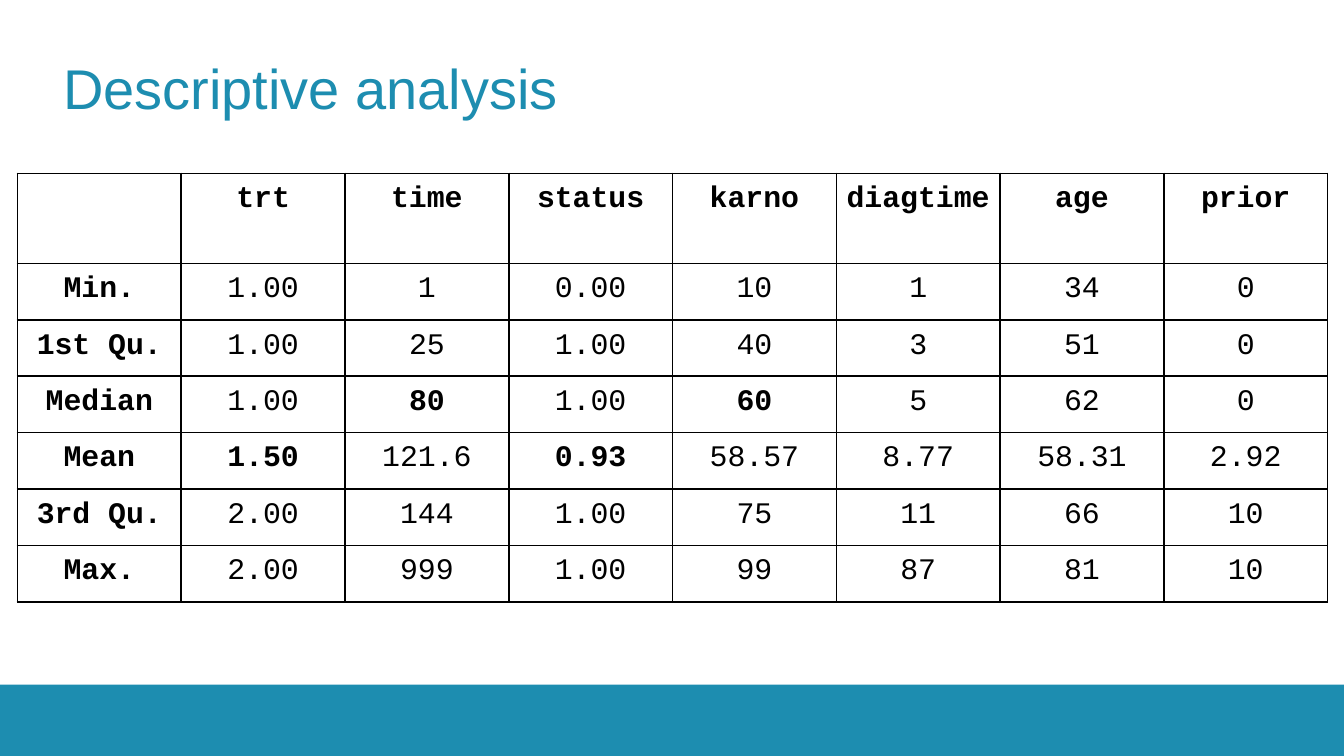
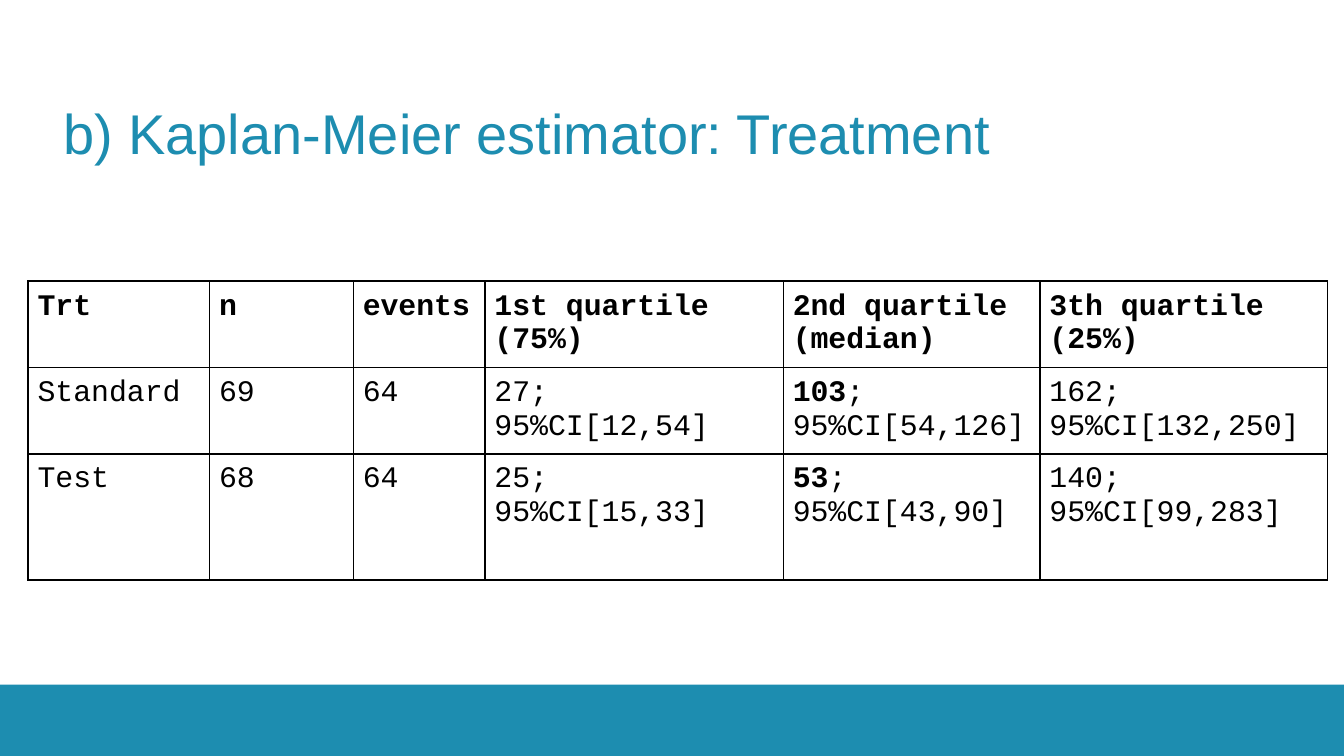
from itertools import product

from lxml import etree
from pptx import Presentation
from pptx.dml.color import RGBColor
from pptx.enum.shapes import MSO_SHAPE
from pptx.enum.text import MSO_ANCHOR, MSO_AUTO_SIZE, PP_ALIGN
from pptx.oxml.ns import qn
from pptx.util import Inches, Pt

RECTANGLE = MSO_SHAPE.RECTANGLE
MIDDLE = MSO_ANCHOR.MIDDLE
NO_AUTOFIT = MSO_AUTO_SIZE.NONE
LEFT, CENTER = PP_ALIGN.LEFT, PP_ALIGN.CENTER
TITLE_ONLY = 5
PLAIN_TABLE_STYLE = "{2D5ABB26-0587-4C30-8999-92F81FD0307C}"

COLORS = {"accent": "1D8DB0", "ink": "000000"}
TITLE_FONT, TABLE_FONT = "Arial", "Courier New"
BOLD_MARK = "**"

SUMMARY = [
    ["", "trt", "time", "status", "karno", "diagtime", "age", "prior"],
    ["Min.", "1.00", "1", "0.00", "10", "1", "34", "0"],
    ["1st Qu.", "1.00", "25", "1.00", "40", "3", "51", "0"],
    ["Median", "1.00", "**80**", "1.00", "**60**", "5", "62", "0"],
    ["Mean", "**1.50**", "121.6", "**0.93**", "58.57", "8.77", "58.31", "2.92"],
    ["3rd Qu.", "2.00", "144", "1.00", "75", "11", "66", "10"],
    ["Max.", "2.00", "999", "1.00", "99", "87", "81", "10"],
]
QUARTILES = [
    ["Trt", "n", "events", "1st quartile (75%)", "2nd quartile\n(median)", "3th quartile\n(25%)"],
    ["Standard", "69", "64", "27; 95%CI[12,54]", "**103**; 95%CI[54,126]", "162; 95%CI[132,250]"],
    ["Test", "68", "64", "25; 95%CI[15,33]", "**53**; 95%CI[43,90]", "140; 95%CI[99,283]"],
]


def write_text(frame, text, *, font, size, color, bold=False, align=LEFT):
    for number, line in enumerate(text.split("\n")):
        paragraph = frame.add_paragraph() if number else frame.paragraphs[0]
        paragraph.alignment = align
        for part, words in enumerate(line.split(BOLD_MARK)):
            if words:
                run = paragraph.add_run()
                run.text = words
                run.font.name = font
                run.font.size = Pt(size)
                run.font.bold = bold or part % 2 == 1
                run.font.color.rgb = RGBColor.from_string(COLORS[color])


def set_margins(target, inches):
    for side in ("left", "top", "right", "bottom"):
        setattr(target, f"margin_{side}", Inches(inches))


def outline_cell(cell, color, width):
    properties = cell._tc.get_or_add_tcPr()
    for side in ("lnL", "lnR", "lnT", "lnB"):
        line = etree.SubElement(properties, qn(f"a:{side}"), w=str(Pt(width)))
        fill = etree.SubElement(line, qn("a:solidFill"))
        etree.SubElement(fill, qn("a:srgbClr"), val=COLORS[color])


class Deck:
    def __init__(self, width, height):
        self.presentation = Presentation()
        self.presentation.slide_width = Inches(width)
        self.presentation.slide_height = Inches(height)
        self.width, self.height = width, height
        self.slide = None

    def add_slide(self, title, title_top):
        layout = self.presentation.slide_layouts[TITLE_ONLY]
        first = self.slide is None
        self.slide = self.presentation.slides.add_slide(layout)
        if first:
            self.add_master_band(0.53)
        self.add_title(title, title_top)

    def add_master_band(self, height):
        band = self.slide.shapes.add_shape(
            RECTANGLE, 0, Inches(self.height - height), Inches(self.width), Inches(height))
        band.shadow.inherit = False
        band.fill.solid()
        band.fill.fore_color.rgb = RGBColor.from_string(COLORS["accent"])
        band.line.fill.background()
        self.presentation.slide_master.shapes.element.insert(2, band.element)

    def add_title(self, text, top):
        title = self.slide.shapes.title
        title.left, title.top = Inches(0.47), Inches(top)
        title.width, title.height = Inches(9.06), Inches(0.94)
        frame = title.text_frame
        frame.word_wrap = True
        frame.auto_size = NO_AUTOFIT
        frame.vertical_anchor = MIDDLE
        set_margins(frame, 0)
        write_text(frame, text, font=TITLE_FONT, size=30, color="accent")

    def add_table(self, rows, left, top, widths, heights, align=LEFT, bold_labels=False):
        graphic = self.slide.shapes.add_table(
            len(rows), len(widths), Inches(left), Inches(top),
            Inches(sum(widths)), Inches(sum(heights)))
        table = graphic.table
        table.first_row = table.horz_banding = False
        table._tbl.tblPr.find(qn("a:tableStyleId")).text = PLAIN_TABLE_STYLE
        for column, width in zip(table.columns, widths):
            column.width = Inches(width)
        for row, height in zip(table.rows, heights):
            row.height = Inches(height)
        for r, c in product(range(len(rows)), range(len(widths))):
            cell = table.cell(r, c)
            set_margins(cell, 0.07)
            outline_cell(cell, "ink", 1)
            cell.fill.background()
            write_text(cell.text_frame, rows[r][c], font=TABLE_FONT, size=16, color="ink",
                       bold=r == 0 or (bold_labels and c == 0), align=align)

    def save(self):
        self.presentation.save("out.pptx")


def main():
    deck = Deck(10, 10 * 9 / 16)

    deck.add_slide("Descriptive analysis", 0.18)
    deck.add_table(SUMMARY, 0.13, 1.29, [9.75 / 8] * 8, [0.67] + [0.42] * 6,
                   align=CENTER, bold_labels=True)

    deck.add_slide("b) Kaplan-Meier estimator: Treatment", 0.51)
    deck.add_table(QUARTILES, 0.21, 2.09, [1.35, 1.07, 0.98, 2.22, 1.91, 2.14],
                   [0.43, 0.28, 0.94])

    deck.save()


if __name__ == "__main__":
    main()
